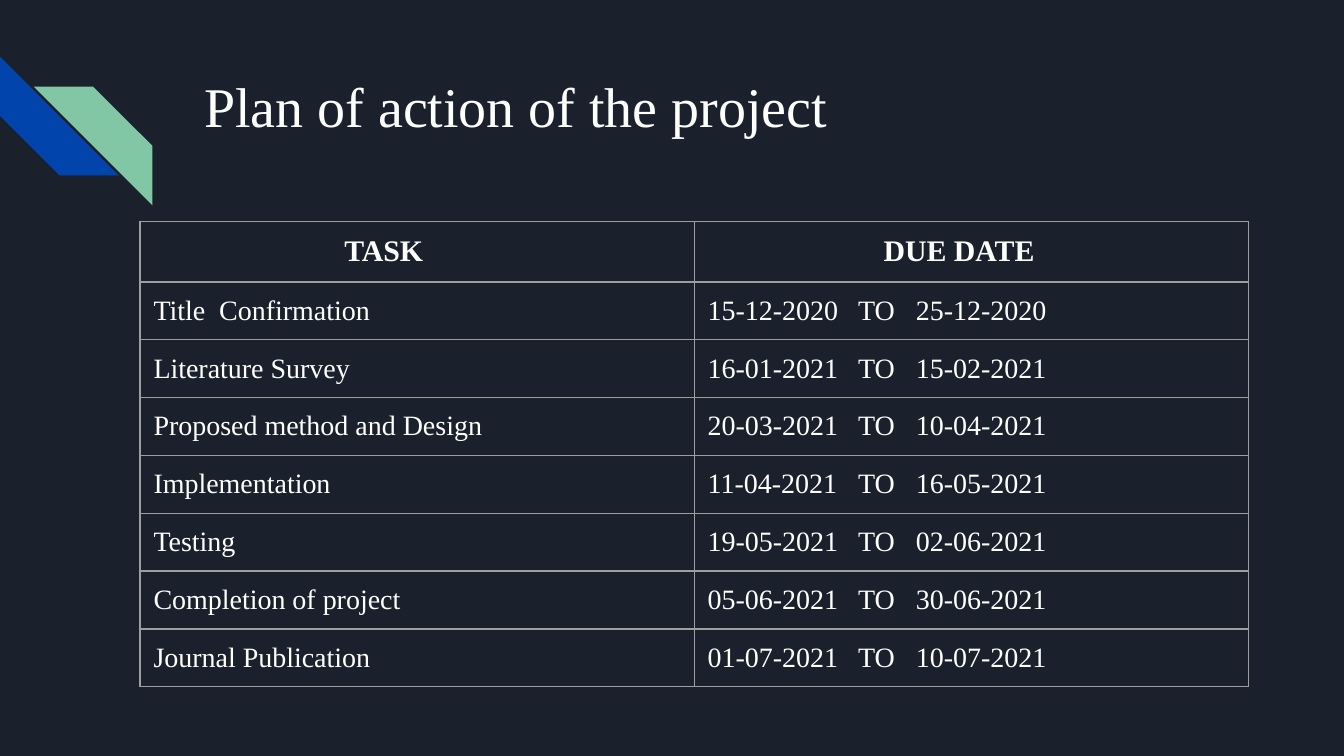
import pptx
import pptx.dml.color
import pptx.enum.shapes
import pptx.enum.text
import pptx.oxml
import pptx.oxml.ns
import pptx.util

WIDE = pptx.util.Inches(10)
HIGH = WIDE * 9 // 16
FONT = "Times New Roman"
COLORS = {"back": "1B212C", "blue": "0145AC", "green": "82C7A5",
          "text": "FFFFFF", "rule": "9E9E9E"}
PAD = 0.1
STOPS = (1.12, 1.55)
HEADS = (("TASK", 1.52), ("DUE DATE", 1.41))
TASKS = (
    ("Title  Confirmation", "15-12-2020", "25-12-2020"),
    ("Literature Survey", "16-01-2021", "15-02-2021"),
    ("Proposed method and Design", "20-03-2021", "10-04-2021"),
    ("Implementation", "11-04-2021", "16-05-2021"),
    ("Testing", "19-05-2021", "02-06-2021"),
    ("Completion of project", "05-06-2021", "30-06-2021"),
    ("Journal Publication", "01-07-2021", "10-07-2021"),
)


def color(name):
    return pptx.dml.color.RGBColor.from_string(COLORS[name])


def place(left, top, width, height):
    """Turn percentages of the slide into lengths."""
    return [int(share * side / 100) for share, side in
            ((left, WIDE), (top, HIGH), (width, WIDE), (height, HIGH))]


def pad(box, left=PAD):
    box.margin_left = pptx.util.Inches(left)
    box.margin_right = box.margin_top = box.margin_bottom = pptx.util.Inches(PAD)


def write(frame, text, size, bold=False):
    para = frame.paragraphs[0]
    para.alignment = pptx.enum.text.PP_ALIGN.LEFT
    run = para.add_run()
    run.text = text
    run.font.name = FONT
    run.font.size = pptx.util.Pt(size)
    run.font.bold = bold
    run.font.color.rgb = color("text")
    return para


def set_tabs(para):
    props = para._p.get_or_add_pPr()
    tabs = pptx.oxml.parse_xml(
        "<a:tabLst %s/>" % pptx.oxml.ns.nsdecls("a"))
    for stop in STOPS:
        tab = tabs.makeelement(pptx.oxml.ns.qn("a:tab"),
                               {"pos": str(pptx.util.Inches(stop)), "algn": "l"})
        tabs.append(tab)
    props.append(tabs)


def rule(cell):
    """Draw the four borders of a cell."""
    props = cell._tc.get_or_add_tcPr()
    for spot, side in enumerate("LRTB"):
        props.insert(spot, pptx.oxml.parse_xml(
            '<a:ln%s %s w="%d"><a:solidFill><a:srgbClr val="%s"/></a:solidFill></a:ln%s>'
            % (side, pptx.oxml.ns.nsdecls("a"), pptx.util.Pt(0.75),
               COLORS["rule"], side)))


def fill_cell(cell, text, size, left=PAD, bold=False):
    pad(cell, left)
    cell.fill.background()
    rule(cell)
    return write(cell.text_frame, text, size, bold)


def add_stripe(slide, left, top, turn, name):
    kind = pptx.enum.shapes.MSO_SHAPE.DIAGONAL_STRIPE
    shape = slide.shapes.add_shape(kind, *place(left, top, 8.84, 15.72))
    shape.rotation = turn
    shape.shadow.inherit = False
    shape.fill.solid()
    shape.fill.fore_color.rgb = color(name)
    shape.line.fill.background()


def set_title(slide, text):
    title = slide.shapes.title
    title.left, title.top, title.width, title.height = place(14.2, 7.64, 77, 14.22)
    frame = title.text_frame
    pad(frame)
    frame.word_wrap = True
    frame.auto_size = pptx.enum.text.MSO_AUTO_SIZE.NONE
    frame.vertical_anchor = pptx.enum.text.MSO_ANCHOR.TOP
    write(frame, text, 30)


def add_plan(slide):
    area = place(10.42, 29.34, 82.46, 61.33)
    table = slide.shapes.add_table(len(TASKS) + 1, len(HEADS), *area).table
    table.first_row = table.horz_banding = False
    for row in table.rows:
        row.height = pptx.util.Inches(0.43)
    table.rows[0].height = pptx.util.Inches(0.44)
    for col, (text, left) in enumerate(HEADS):
        fill_cell(table.cell(0, col), text, 16, left, True)
    for row, (task, start, end) in enumerate(TASKS, 1):
        fill_cell(table.cell(row, 0), task, 15)
        set_tabs(fill_cell(table.cell(row, 1), f"{start}\tTO\t{end}", 15))


def main():
    deck = pptx.Presentation()
    deck.slide_width, deck.slide_height = WIDE, HIGH
    slide = deck.slides.add_slide(deck.slide_layouts[5])
    slide.background.fill.solid()
    slide.background.fill.fore_color.rgb = color("back")
    add_stripe(slide, 0, 7.47, 270, "blue")
    add_stripe(slide, 2.5, 11.45, 90, "green")
    set_title(slide, "Plan of action of the project")
    add_plan(slide)
    deck.save("out.pptx")


if __name__ == "__main__":
    main()
